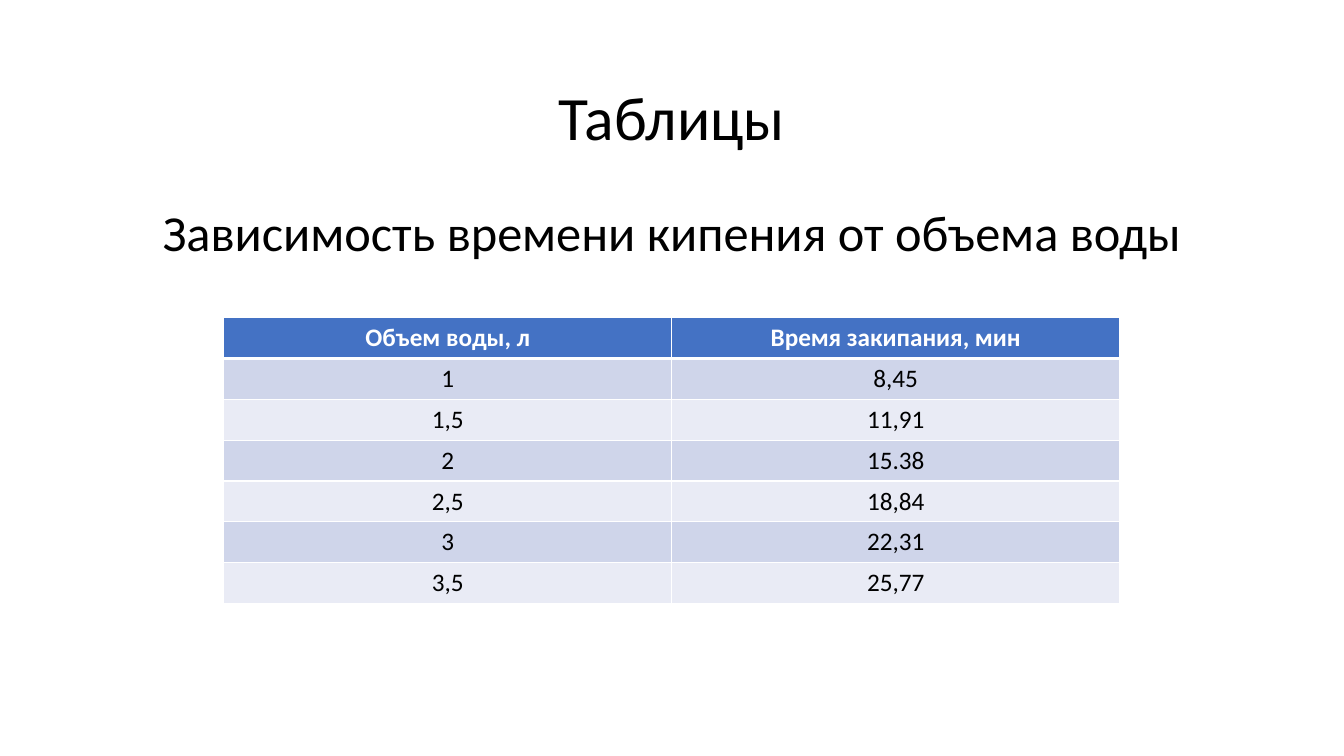
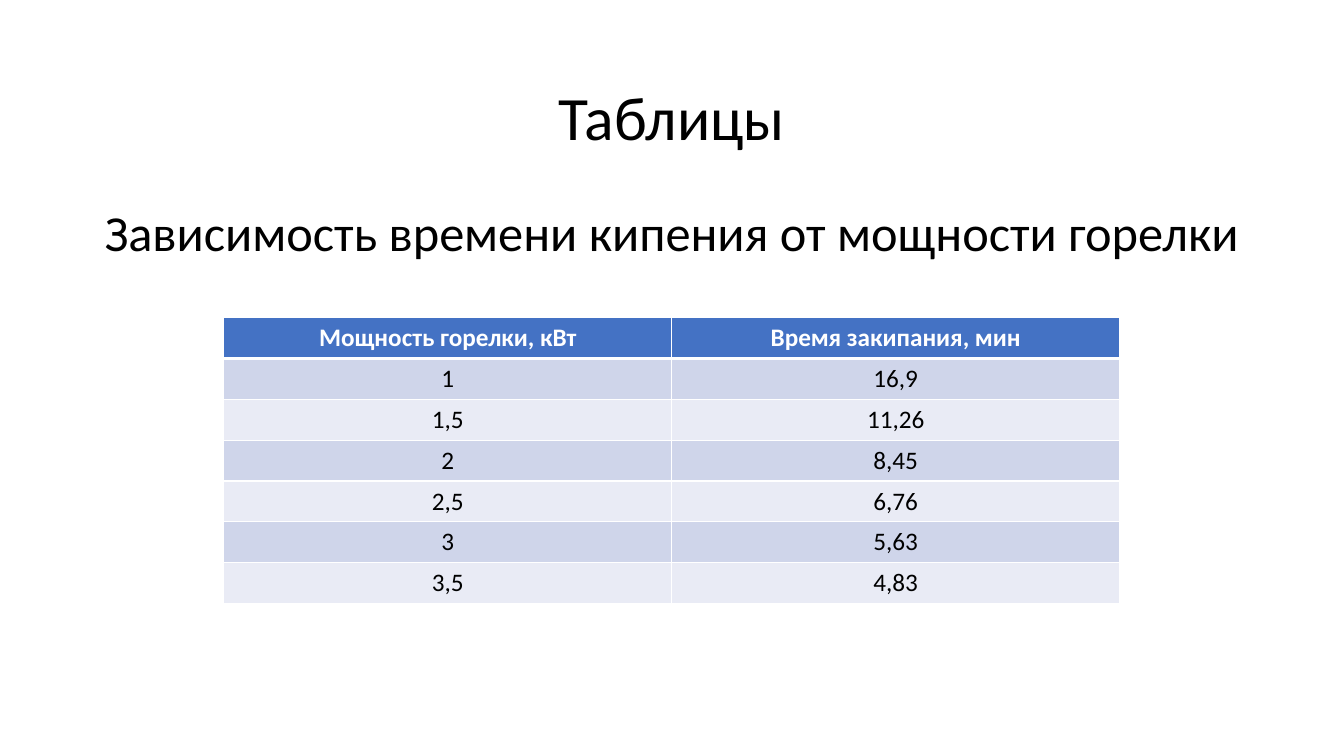
from lxml.etree import SubElement
from pptx import Presentation
from pptx.dml.color import RGBColor
from pptx.enum.text import MSO_ANCHOR, MSO_AUTO_SIZE, PP_ALIGN
from pptx.oxml.ns import qn
from pptx.util import Cm, Pt

FONT = "Calibri"
BLACK = RGBColor(0x00, 0x00, 0x00)
WHITE = RGBColor(0xFF, 0xFF, 0xFF)
HEADER_BLUE = RGBColor(0x44, 0x72, 0xC4)
BANDS = (RGBColor(0xCF, 0xD5, 0xEA), RGBColor(0xE9, 0xEB, 0xF5))

SLIDE_SIZE = (Cm(33.87), Cm(19.05))
HEADING_BOX = (Cm(2.33), Cm(1.01), Cm(29.21), Cm(3.68))
TABLE_BOX = (Cm(5.64), Cm(8), Cm(22.58), Cm(7.21))

BOIL_TIME = "Время закипания, мин"
TOPICS = [
    ("Зависимость времени кипения от объема воды", [
        ("Объем воды, л", BOIL_TIME),
        ("1", "8,45"), ("1,5", "11,91"), ("2", "15.38"),
        ("2,5", "18,84"), ("3", "22,31"), ("3,5", "25,77"),
    ]),
    ("Зависимость времени кипения от мощности горелки", [
        ("Мощность горелки, кВт", BOIL_TIME),
        ("1", "16,9"), ("1,5", "11,26"), ("2", "8,45"),
        ("2,5", "6,76"), ("3", "5,63"), ("3,5", "4,83"),
    ]),
]


def write(paragraph, text, size, color=BLACK, bold=False):
    """Add one centred run to a paragraph."""
    paragraph.alignment = PP_ALIGN.CENTER
    run = paragraph.add_run()
    run.text = text
    run.font.name = FONT
    run.font.size = Pt(size)
    run.font.bold = bold
    run.font.color.rgb = color


def add_heading(slide, box, subject):
    """Fill the title placeholder with the section name and its subject."""
    heading = slide.shapes.title
    heading.left, heading.top, heading.width, heading.height = box
    frame = heading.text_frame
    frame.word_wrap = True
    frame.auto_size = MSO_AUTO_SIZE.NONE
    frame.vertical_anchor = MSO_ANCHOR.TOP
    frame.margin_top = Cm(1.18)
    section_line, subject_line = frame.paragraphs[0], frame.add_paragraph()
    write(section_line, "Таблицы", 44)
    write(subject_line, subject, 36)
    for line in (section_line, subject_line):
        line.line_spacing = 0.9
        line.space_before = Pt(0)
    subject_line.space_before = Pt(39)


def set_borders(cell, top, bottom):
    """Draw white cell borders; top and bottom widths are in points."""
    properties = cell._tc.get_or_add_tcPr()
    widths = {"a:lnL": 1, "a:lnR": 1, "a:lnT": top, "a:lnB": bottom}
    for position, (side, width) in enumerate(widths.items()):
        border = SubElement(properties, qn(side), w=str(Pt(width)))
        fill = SubElement(border, qn("a:solidFill"))
        SubElement(fill, qn("a:srgbClr"), val=str(WHITE))
        properties.insert(position, border)


def add_measurements(slide, box, rows):
    """Fill the box with a banded table under a blue header row."""
    table = slide.shapes.add_table(len(rows), len(rows[0]), *box).table
    for row_index, values in enumerate(rows):
        is_header = row_index == 0
        for column_index, value in enumerate(values):
            cell = table.cell(row_index, column_index)
            cell.fill.solid()
            cell.fill.fore_color.rgb = (
                HEADER_BLUE if is_header else BANDS[(row_index - 1) % 2])
            set_borders(cell, top=3 if row_index == 1 else 1,
                        bottom=3 if is_header else 1)
            write(cell.text_frame.paragraphs[0], value, 18,
                  WHITE if is_header else BLACK, is_header)


def add_topic_slide(deck, subject, rows):
    """Add a slide with a heading and a table of measurements."""
    slide = deck.slides.add_slide(deck.slide_layouts.get_by_name("Title Only"))
    add_heading(slide, HEADING_BOX, subject)
    add_measurements(slide, TABLE_BOX, rows)


def main():
    """Build and save the deck."""
    deck = Presentation()
    deck.slide_width, deck.slide_height = SLIDE_SIZE
    for subject, rows in TOPICS:
        add_topic_slide(deck, subject, rows)
    deck.save("out.pptx")


main()
